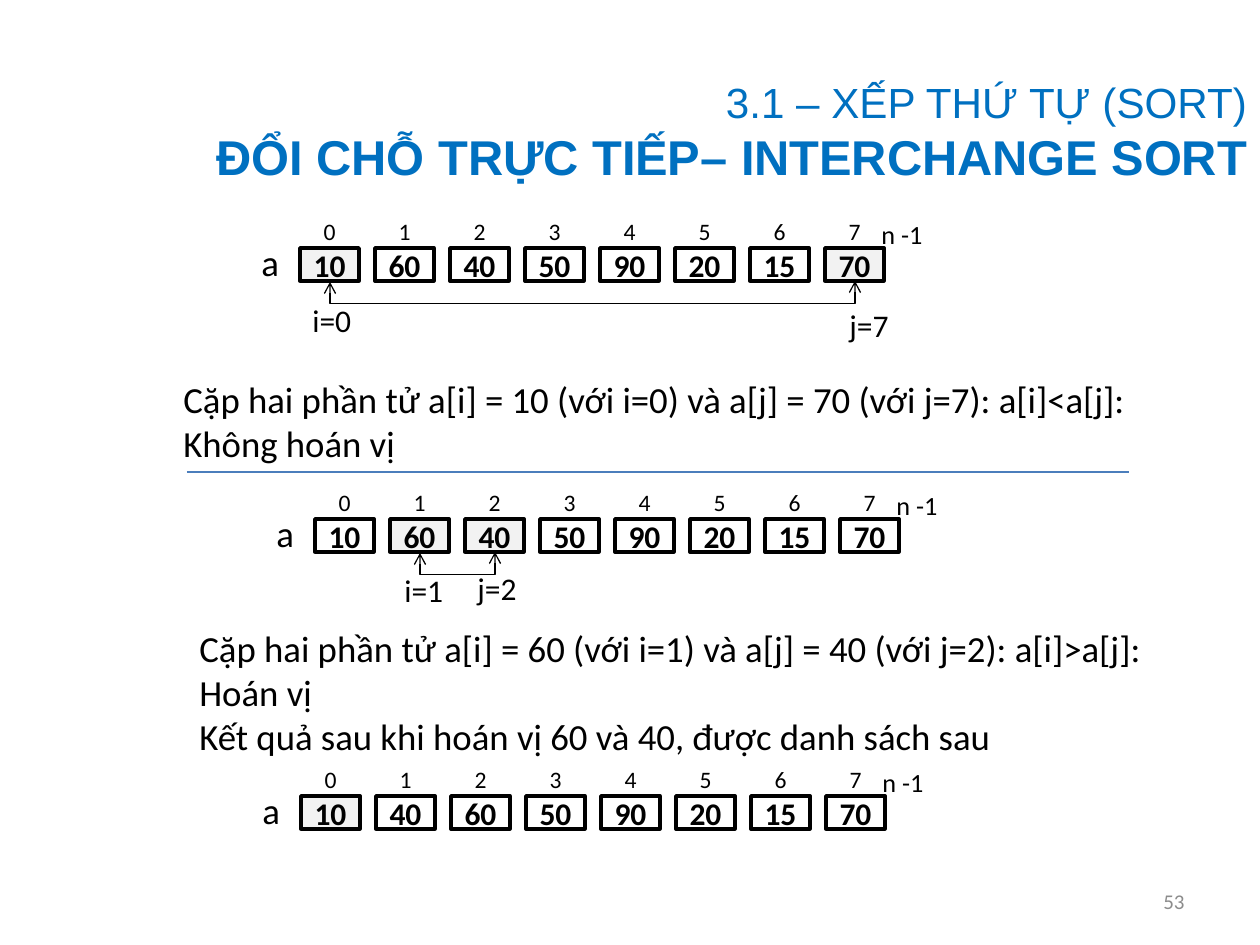
from lxml.etree import SubElement
from pptx import Presentation
from pptx.dml.color import RGBColor
from pptx.enum.shapes import MSO_CONNECTOR, MSO_SHAPE
from pptx.enum.text import MSO_ANCHOR, PP_ALIGN
from pptx.oxml.ns import qn
from pptx.util import Emu, Pt

SCALE = 914400 // 126
CELL_WIDTH, CELL_HEIGHT, CELL_PITCH = 59, 33, 75
BLACK, WHITE, GREY, BLUE = "000000", "FFFFFF", "F2F2F2", "0070C0"


def px(length):
    return Emu(length * SCALE)


def color(value):
    return RGBColor.from_string(value)


def write(shape, lines, align=PP_ALIGN.LEFT, font="Calibri", fill=BLACK):
    frame = shape.text_frame
    frame.word_wrap = True
    frame.vertical_anchor = MSO_ANCHOR.MIDDLE
    for number, (words, size, bold) in enumerate(lines):
        para = frame.add_paragraph() if number else frame.paragraphs[0]
        para.alignment = align
        span = para.add_run()
        span.text = words
        span.font.name = font
        span.font.size = Pt(size)
        span.font.bold = bold
        span.font.color.rgb = color(fill)


def add_text(page, box, lines, **style):
    write(page.shapes.add_textbox(*map(px, box)), lines, **style)


def add_line(page, kind, start, end, stroke):
    line = page.shapes.add_connector(kind, *map(px, start + end))
    line.line.color.rgb = color(stroke)
    line.line.width = Pt(0.75)
    SubElement(line._element.spPr, qn("a:effectLst"))
    return line


def add_cell(page, box, value, fill):
    cell = page.shapes.add_shape(MSO_SHAPE.RECTANGLE, *map(px, box))
    cell.shadow.inherit = False
    cell.fill.solid()
    cell.fill.fore_color.rgb = color(fill)
    cell.line.color.rgb = color(BLACK)
    cell.line.width = Pt(2)
    write(cell, [(str(value), 18, True)], PP_ALIGN.CENTER)


def add_array(page, left, top, values, shaded):
    for index, value in enumerate(values):
        cell_left = left + index * CELL_PITCH
        fill = GREY if index in shaded else WHITE
        add_cell(page, (cell_left, top, CELL_WIDTH, CELL_HEIGHT), value, fill)
        add_text(page, (cell_left, top - 25, CELL_WIDTH, 16),
                 [(str(index), 13.5, False)], align=PP_ALIGN.CENTER)
    add_text(page, (left - 51, top + 1, 43, 26), [("a", 21, False)])
    add_text(page, (left + 569, top - 21, 106, 15), [("n -1", 15, False)])


def add_pair(page, left, top, i, j, i_offset, j_offset):
    for name, index, (across, down) in (("i", i, i_offset), ("j", j, j_offset)):
        label_left = left + index * CELL_PITCH + across
        add_text(page, (label_left, top + down, 91, 26),
                 [(f"{name}={index}", 18, False)])
    drop, thickness = 23, 1
    length = (j - i) * CELL_PITCH
    middle = left + (i + j) * CELL_PITCH // 2 + CELL_WIDTH // 2 + 1
    tip = top + CELL_HEIGHT
    bracket = add_line(page, MSO_CONNECTOR.ELBOW, (middle, tip - length // 2),
                       (middle + thickness, tip - length // 2 + length), BLACK)
    properties = bracket._element.spPr
    properties.find(qn("a:xfrm")).set("rot", str(90 * 60000))
    guides = properties.find(qn("a:prstGeom")).get_or_add_avLst()
    SubElement(guides, qn("a:gd"), name="adj1",
               fmla=f"val {drop * 100000 // thickness}")
    outline = properties.find(qn("a:ln"))
    for end in ("a:headEnd", "a:tailEnd"):
        SubElement(outline, qn(end), type="arrow")


def add_title(page, box):
    add_text(page, box, [("3.1 – XẾP THỨ TỰ (SORT)", 24.1, False),
                         ("ĐỔI CHỖ TRỰC TIẾP– INTERCHANGE SORT", 27.9, True)],
             align=PP_ALIGN.RIGHT, font="Arial", fill=BLUE)


def add_explanation(page, box, sentences):
    add_text(page, box, [(sentence, 21, False) for sentence in sentences])


def add_page_number(page, box):
    add_text(page, box, [("53", 12, False)], align=PP_ALIGN.RIGHT, fill="8C8C8C")


def main():
    deck = Presentation()
    deck.slide_width, deck.slide_height = px(1260), px(945)
    page = deck.slides.add_slide(deck.slide_layouts[6])
    add_title(page, (0, 63, 1260, 136))

    before = [10, 60, 40, 50, 90, 20, 15, 70]
    after = [10, 40, 60, 50, 90, 20, 15, 70]
    add_array(page, 300, 248, before, {0, 7})
    add_pair(page, 300, 248, 0, 7, (0, 59), (12, 64))
    add_explanation(page, (171, 343, 975, 155), [
        "Cặp hai phần tử a[i] = 10 (với i=0) và a[j] = 70 (với j=7): a[i]<a[j]:",
        "Không hoán vị"])
    add_line(page, MSO_CONNECTOR.STRAIGHT, (187, 472), (1129, 472), "4B7EBC")

    add_array(page, 315, 519, before, {1, 2})
    add_pair(page, 315, 519, 1, 2, (2, 58), (0, 56))
    add_explanation(page, (187, 614, 975, 155), [
        "Cặp hai phần tử a[i] = 60 (với i=1) và a[j] = 40 (với j=2): a[i]>a[j]:",
        "Hoán vị",
        "Kết quả sau khi hoán vị 60 và 40, được danh sách sau"])

    add_array(page, 301, 796, after, {0})
    add_page_number(page, (903, 876, 294, 50))
    deck.save("out.pptx")


if __name__ == "__main__":
    main()
